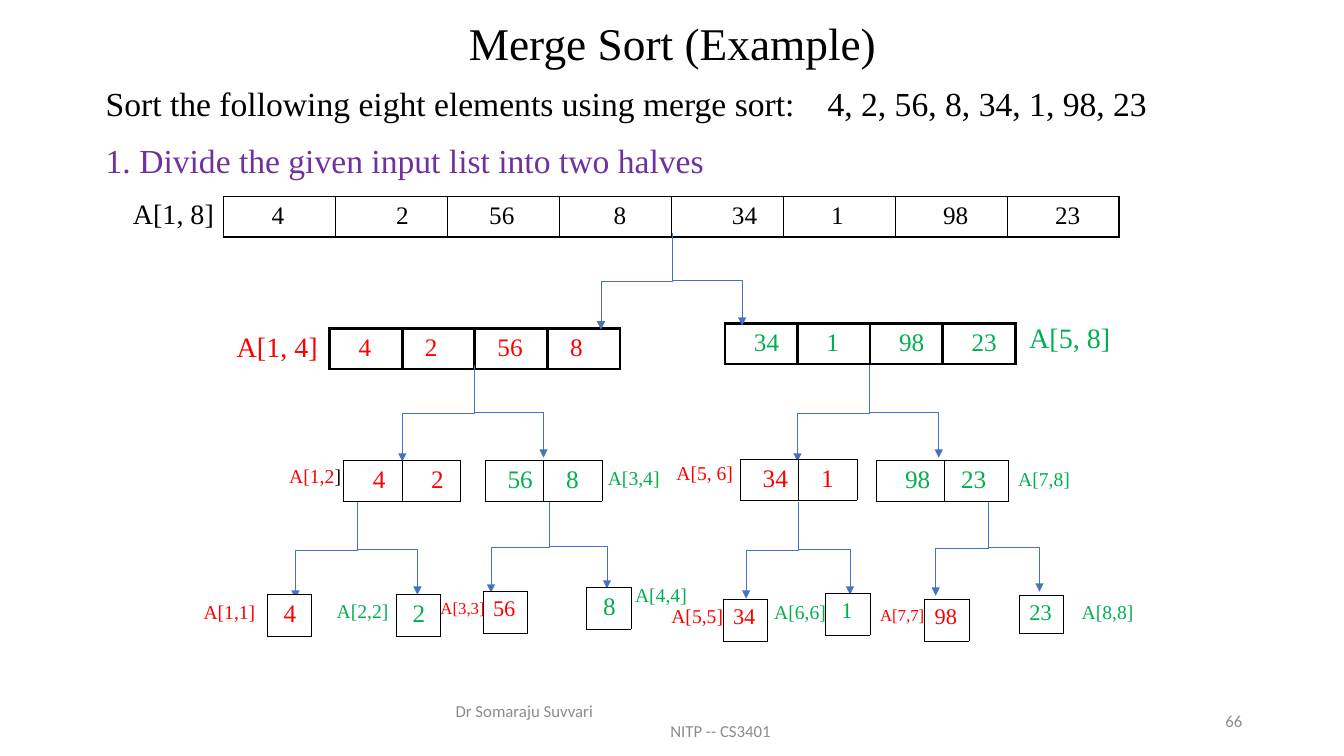
import pptx
import pptx.util
import pptx.dml.color
import pptx.enum.shapes
import pptx.enum.text
import pptx.oxml
import pptx.oxml.ns
import lxml.etree

Inches = pptx.util.Inches
Pt = pptx.util.Pt
Align = pptx.enum.text.PP_ALIGN
Anchor = pptx.enum.text.MSO_ANCHOR
qn = pptx.oxml.ns.qn

HUES = {
    "black": "000000",
    "white": "FFFFFF",
    "red": "FF0000",
    "green": "00B050",
    "purple": "7030A0",
    "blue": "4472C4",
    "gray": "8C8C8C",
}
SERIF = "Times New Roman"


def shade(name):
    return pptx.dml.color.RGBColor.from_string(HUES[name])


def write(para, text, size=18, hue="black", font=SERIF, align=Align.LEFT,
          before=0, space=None, indent=0, stop=None):
    para.alignment = align
    para.space_before = Pt(before)
    para.line_spacing = space
    props = para._p.get_or_add_pPr()
    if indent:
        props.set("marL", str(Inches(indent)))
    if stop:
        tabs = lxml.etree.SubElement(props, qn("a:tabLst"))
        tab = lxml.etree.SubElement(tabs, qn("a:tab"))
        tab.set("pos", str(Inches(stop)))
        tab.set("algn", "l")
    run = para.add_run()
    run.text = text
    run.font.name = font
    run.font.size = Pt(size)
    run.font.color.rgb = shade(hue)


class Board:
    def __init__(self, slide):
        self.slide = slide
        self.line = "blue"
        self.edge = "black"

    def box(self, x, y, wide, high, anchor=Anchor.TOP, right=0.1):
        frame = self.slide.shapes.add_textbox(
            Inches(x), Inches(y), Inches(wide), Inches(high)).text_frame
        frame.word_wrap = True
        frame.vertical_anchor = anchor
        frame.margin_right = Inches(right)
        return frame

    def label(self, x, y, text, hue, size=14):
        wide, high = (1.1, 0.44) if size == 20 else (0.75, 0.34)
        para = self.box(x, y, wide, high, right=0).paragraphs[0]
        write(para, text, size=size, hue=hue)
        return para

    def border(self, cell, width):
        props = cell._tc.get_or_add_tcPr()
        for side in ("lnL", "lnR", "lnT", "lnB"):
            line = lxml.etree.SubElement(props, qn("a:" + side))
            line.set("w", str(Pt(width)))
            fill = lxml.etree.SubElement(line, qn("a:solidFill"))
            lxml.etree.SubElement(fill, qn("a:srgbClr")).set("val", HUES[self.edge])

    def table(self, x, y, cols, items, hue, width=0.5, size=18, high=0.4):
        table = self.slide.shapes.add_table(
            1, len(cols), Inches(x), Inches(y), Inches(sum(cols)), Inches(high)).table
        table.first_row = False
        table.horz_banding = False
        for i, (wide, (text, pad)) in enumerate(zip(cols, items)):
            table.columns[i].width = Inches(wide)
            cell = table.cell(0, i)
            self.border(cell, width)
            cell.fill.solid()
            cell.fill.fore_color.rgb = shade("white")
            cell.margin_left = Inches(0.1 + pad * size / 288)
            cell.margin_right = 0
            write(cell.text_frame.paragraphs[0], text, size=size, hue=hue)

    def arrow(self, x, y, to, end):
        wide, high = end - y, abs(to - x)
        left, top = (x + to - wide) / 2, (y + end - high) / 2
        first, last = (left, left + wide) if to < x else (left + wide, left)
        arrow = self.slide.shapes.add_connector(
            pptx.enum.shapes.MSO_CONNECTOR.ELBOW,
            Inches(first), Inches(top), Inches(last), Inches(top + high))
        arrow.line.color.rgb = shade(self.line)
        arrow.line.width = Pt(0.5)
        props = arrow._element.spPr
        turn = 90 if to < x else 270
        props.find(qn("a:xfrm")).set("rot", str(turn * 60000))
        tip = lxml.etree.SubElement(props.find(qn("a:ln")), qn("a:tailEnd"))
        tip.set("type", "triangle")
        lxml.etree.SubElement(props, qn("a:effectLst"))

    def fork(self, x, y, left, right, end):
        self.arrow(x, y, left, end)
        self.arrow(x, y + 0.03, right, end - 0.04)


FORKS = [
    (6.67, 2.31, 5.96, 7.36, 3.27),
    (4.7, 3.62, 3.99, 5.39, 4.58),
    (8.62, 3.62, 7.91, 9.31, 4.58),
    (3.54, 4.98, 2.93, 4.14, 5.94),
    (5.45, 4.98, 4.87, 6.02, 5.88),
    (9.8, 4.97, 9.28, 10.31, 5.91),
    (7.92, 4.98, 7.4, 8.43, 5.94),
]
HALVES = [
    (3.27, 3.26, "red", [("4", 3), ("2", 2), ("56", 2), ("8", 2)]),
    (7.19, 3.21, "green", [("34", 3), ("1", 3), ("98", 3), ("23", 3)]),
]
PAIRS = [
    (3.41, 4.57, "red", [0.58, 0.58], [("4", 3), ("2", 3)]),
    (4.81, 4.57, "green", [0.58, 0.58], [("56", 2), ("8", 2)]),
    (7.34, 4.56, "red", [0.58, 0.58], [("34", 2), ("1", 2)]),
    (8.69, 4.57, "green", [0.68, 0.63], [("98", 3), ("23", 1)]),
]
LEAVES = [
    (2.65, 5.9, "4", 1, 18, "red"),
    (3.93, 5.9, "2", 1, 18, "green"),
    (4.79, 5.87, "56", 0, 16, "red"),
    (5.82, 5.83, "8", 1, 18, "green"),
    (7.17, 5.95, "34", 0, 16, "red"),
    (8.19, 5.89, "1", 1, 16, "green"),
    (9.17, 5.95, "98", 0, 16, "red"),
    (10.11, 5.91, "23", 0, 16, "green"),
]
LABELS = [
    (1.22, 1.9, "A[1, 8]", "black", 20),
    (2.25, 3.22, "A[1, 4]", "red", 20),
    (10.11, 3.13, "A[5, 8]", "green", 20),
    (5.93, 4.57, "A[3,4]", "green", 14),
    (6.61, 4.52, "A[5, 6]", "red", 14),
    (10, 4.58, "A[7,8]", "green", 14),
    (1.92, 5.9, "A[1,1]", "red", 14),
    (3.24, 5.89, "A[2,2]", "green", 14),
    (4.27, 5.88, "A[3,3]", "red", 12),
    (6.2, 5.73, "A[4,4]", "green", 14),
    (6.56, 5.94, "A[5,5]", "red", 14),
    (7.58, 5.9, "A[6,6]", "green", 14),
    (8.63, 5.95, "A[7,7]", "red", 12),
    (10.63, 5.9, "A[8,8]", "green", 14),
]


def main():
    deck = pptx.Presentation()
    deck.slide_width = Inches(13.33)
    deck.slide_height = Inches(7.5)
    board = Board(deck.slides.add_slide(deck.slide_layouts[6]))

    title = board.box(0.92, 0.16, 11.5, 0.59, Anchor.MIDDLE)
    write(title.paragraphs[0], "Merge Sort (Example)", size=32.4,
          align=Align.CENTER, space=0.9)
    body = board.box(0.95, 0.77, 11.5, 1.1)
    write(body.paragraphs[0],
          "Sort the following eight elements using merge sort:\t4, 2, 56, 8, 34, 1, 98, 23",
          size=24, align=Align.JUSTIFY, stop=7.16)
    write(body.add_paragraph(), "1. Divide the given input list into two halves",
          size=24, hue="purple", align=Align.JUSTIFY, before=12)

    foot = board.box(4.42, 6.95, 4.5, 0.4, Anchor.MIDDLE)
    small = {"size": 12, "hue": "gray", "font": "Calibri"}
    write(foot.paragraphs[0], "Dr Somaraju Suvvari", **small)
    write(foot.add_paragraph(), "NITP -- CS3401", indent=2.13, **small)
    page = board.box(9.42, 6.95, 3, 0.4, Anchor.MIDDLE)
    write(page.paragraphs[0], "66", align=Align.RIGHT, **small)

    full = [("4", 6), ("2", 8), ("56", 5), ("8", 7),
            ("34", 8), ("1", 6), ("98", 6), ("23", 6)]
    board.table(2.22, 1.95, [1.11] * 8, full, "black", width=1)
    for x, y, hue, items in HALVES:
        board.table(x, y, [0.72] * 4, items, hue, width=2.25)
    for fork in FORKS:
        board.fork(*fork)
    for x, y, hue, cols, items in PAIRS:
        board.table(x, y, cols, items, hue)
    for x, y, text, pad, size, hue in LEAVES:
        high = 0.37 if text == "23" else 0.41
        board.table(x, y, [0.44], [(text, pad)], hue, size=size, high=high)
    for label in LABELS:
        board.label(*label)
    write(board.label(2.77, 4.55, "A[1,2", "red"), "]", size=14)

    deck.save("out.pptx")


if __name__ == "__main__":
    main()
